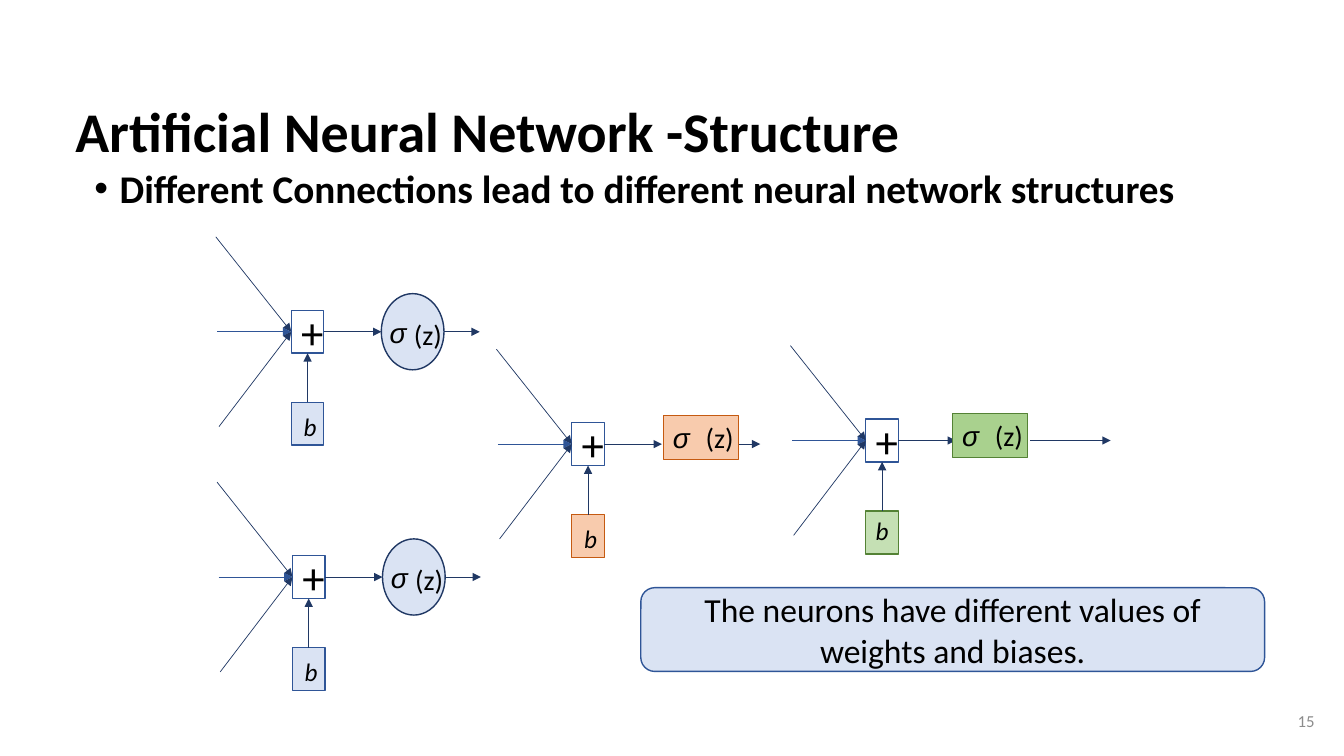
"""Builds a slide showing how connected neurons form a network structure."""
from lxml import etree
from pptx import Presentation
from pptx.dml.color import RGBColor
from pptx.enum.shapes import MSO_CONNECTOR, MSO_SHAPE
from pptx.enum.text import MSO_ANCHOR, PP_ALIGN
from pptx.oxml.ns import qn
from pptx.util import Cm, Pt

RECT, OVAL, ROUNDED = MSO_SHAPE.RECTANGLE, MSO_SHAPE.OVAL, MSO_SHAPE.ROUNDED_RECTANGLE
STRAIGHT = MSO_CONNECTOR.STRAIGHT
TOP, MIDDLE = MSO_ANCHOR.TOP, MSO_ANCHOR.MIDDLE
LEFT, CENTER, RIGHT = PP_ALIGN.LEFT, PP_ALIGN.CENTER, PP_ALIGN.RIGHT
SIDE_TOP, SIDE_LEFT, SIDE_BOTTOM, SIDE_RIGHT = range(4)

COLORS = {
    "text": "000000", "number": "8C8C8C", "arrow": "203864", "blue": "2F5597",
    "pale_blue": "DAE3F3", "orange": "C55A11", "pale_orange": "F8CBAD",
    "green": "548235", "pale_green": "C5E0B4", "mid_green": "A9D18E",
}
NODE_W, NODE_H = 0.82, 1.08
BIAS_DROP = 2.32
INPUTS = [(-1.9, -2.39, "arrow"), (-1.86, 0, "blue"), (-1.82, 2.39, "arrow")]


class NetworkSlide:
    """Holds the style and the current slide."""

    def __init__(self, deck):
        self.slide = deck.slides.add_slide(deck.slide_layouts[6])

    def color(self, name):
        return RGBColor.from_string(COLORS[name])

    def label(self, holder, words, size, align=LEFT, anchor=TOP, font="Calibri",
              color="text", bold=False, italic=False, spacing=None, bullet=False):
        frame = holder.text_frame
        frame.word_wrap = True
        frame.vertical_anchor = anchor
        if align == LEFT:
            frame.margin_right = 0
        paragraph = frame.paragraphs[0]
        paragraph.text = words
        paragraph.alignment = align
        if spacing:
            paragraph.line_spacing = spacing
        if bullet:
            props = paragraph._p.get_or_add_pPr()
            props.set("marL", str(Cm(0.635)))
            props.set("indent", str(-Cm(0.635)))
            etree.SubElement(props, qn("a:buFont")).set("typeface", "Arial")
            etree.SubElement(props, qn("a:buChar")).set("char", "•")
        paragraph.font.name = font
        paragraph.font.size = Pt(size)
        paragraph.font.bold = bold
        paragraph.font.italic = italic
        paragraph.font.color.rgb = self.color(color)
        return paragraph

    def text(self, left, top, width, height, words, size, **style):
        box = self.slide.shapes.add_textbox(Cm(left), Cm(top), Cm(width), Cm(height))
        self.label(box, words, size, **style)

    def shape(self, kind, left, top, width, height, fill, line, weight=1):
        node = self.slide.shapes.add_shape(kind, Cm(left), Cm(top), Cm(width), Cm(height))
        node.shadow.inherit = False
        if fill:
            node.fill.solid()
            node.fill.fore_color.rgb = self.color(fill)
        else:
            node.fill.background()
        node.line.color.rgb = self.color(line)
        node.line.width = Pt(weight)
        return node

    def arrow(self, x1, y1, x2, y2, color="arrow", start=None, end=None):
        link = self.slide.shapes.add_connector(STRAIGHT, Cm(x1), Cm(y1), Cm(x2), Cm(y2))
        if start:
            link.begin_connect(*start)
        if end:
            link.end_connect(*end)
        link.line.color.rgb = self.color(color)
        link.line.width = Pt(0.5)
        etree.SubElement(link.line._get_or_add_ln(), qn("a:tailEnd")).set("type", "triangle")
        etree.SubElement(link._element.spPr, qn("a:effectLst"))

    def round_activation(self, left, middle):
        self.shape(OVAL, left, middle - 0.96, 1.58, 1.92, "pale_blue", "arrow")
        self.text(left - 0.04, middle - 0.53, 1.1, 1.1, "σ", 20, font="Arial", italic=True)
        self.text(left + 0.57, middle - 0.48, 1.22, 1.1, "(z)", 20)

    def square_activation(self, left, top, fill, line):
        node = self.shape(RECT, left, top, 1.9, 1.12, fill, line, 0.75)
        paragraph = self.label(node, "", 20)
        for words, font, italic in (("σ ", "Arial", True), ("(z)", "Calibri", False)):
            run = paragraph.add_run()
            run.text = words
            run.font.name = font
            run.font.italic = italic
            if italic:
                run.font._element.set("spc", "280")

    def neuron(self, left, top, bias_fill, bias_line, output, label_shift=(0.06, 0.09)):
        middle, center = top + NODE_H / 2, left + NODE_W / 2
        bias_top, right = top + BIAS_DROP, left + NODE_W
        adder = self.shape(RECT, left, top, NODE_W, NODE_H, None, "blue")
        self.label(adder, "+", 32, align=CENTER, anchor=MIDDLE)
        for dx, dy, color in INPUTS:
            self.arrow(left + dx, middle + dy, left, middle, color, end=(adder, SIDE_LEFT))
        bias = self.shape(RECT, left, bias_top, NODE_W, NODE_H, bias_fill, bias_line)
        self.arrow(center, bias_top, center, top, start=(bias, SIDE_TOP), end=(adder, SIDE_BOTTOM))
        self.arrow(right, middle, right + 1.45, middle, start=(adder, SIDE_RIGHT))
        out_start, out_end = output
        self.arrow(left + out_start, middle, left + out_end, middle)
        label_dx, label_dy = label_shift
        self.text(left + label_dx, bias_top + label_dy, 0.66, 1.02, "b", 18, italic=True)


def main():
    deck = Presentation()
    deck.slide_width, deck.slide_height = Cm(33.87), Cm(19.05)
    page = NetworkSlide(deck)
    page.text(1.65, 2.21, 30.91, 2.36, "Artificial Neural Network -Structure", 40,
              bold=True, anchor=MIDDLE, spacing=0.9)
    page.text(2.13, 4.14, 29.21, 1.4,
              "Different Connections lead to different neural network structures", 28,
              bold=True, spacing=0.9, bullet=True)

    for left, top in ((7.34, 7.82), (7.37, 14)):
        page.neuron(left, top, "pale_blue", "blue", (3.85, 4.75))
        page.round_activation(left + 2.27, top + NODE_H / 2)
    page.neuron(14.41, 10.65, "pale_orange", "orange", (3.85, 4.75))
    page.square_activation(16.71, 10.46, "pale_orange", "orange")
    page.neuron(21.82, 10.56, "pale_green", "green", (4.14, 6.17), label_shift=(0, -0.03))
    page.square_activation(24, 10.41, "mid_green", "green")

    callout = page.shape(ROUNDED, 16.15, 14.81, 15.72, 2.11, "pale_blue", "blue")
    page.label(callout, "The neurons have different values of weights and biases.", 24,
               align=CENTER, anchor=MIDDLE)
    page.text(25.76, 17.65, 7.62, 1.02, "15", 12, align=RIGHT, anchor=MIDDLE, color="number")
    deck.save("out.pptx")


if __name__ == "__main__":
    main()
